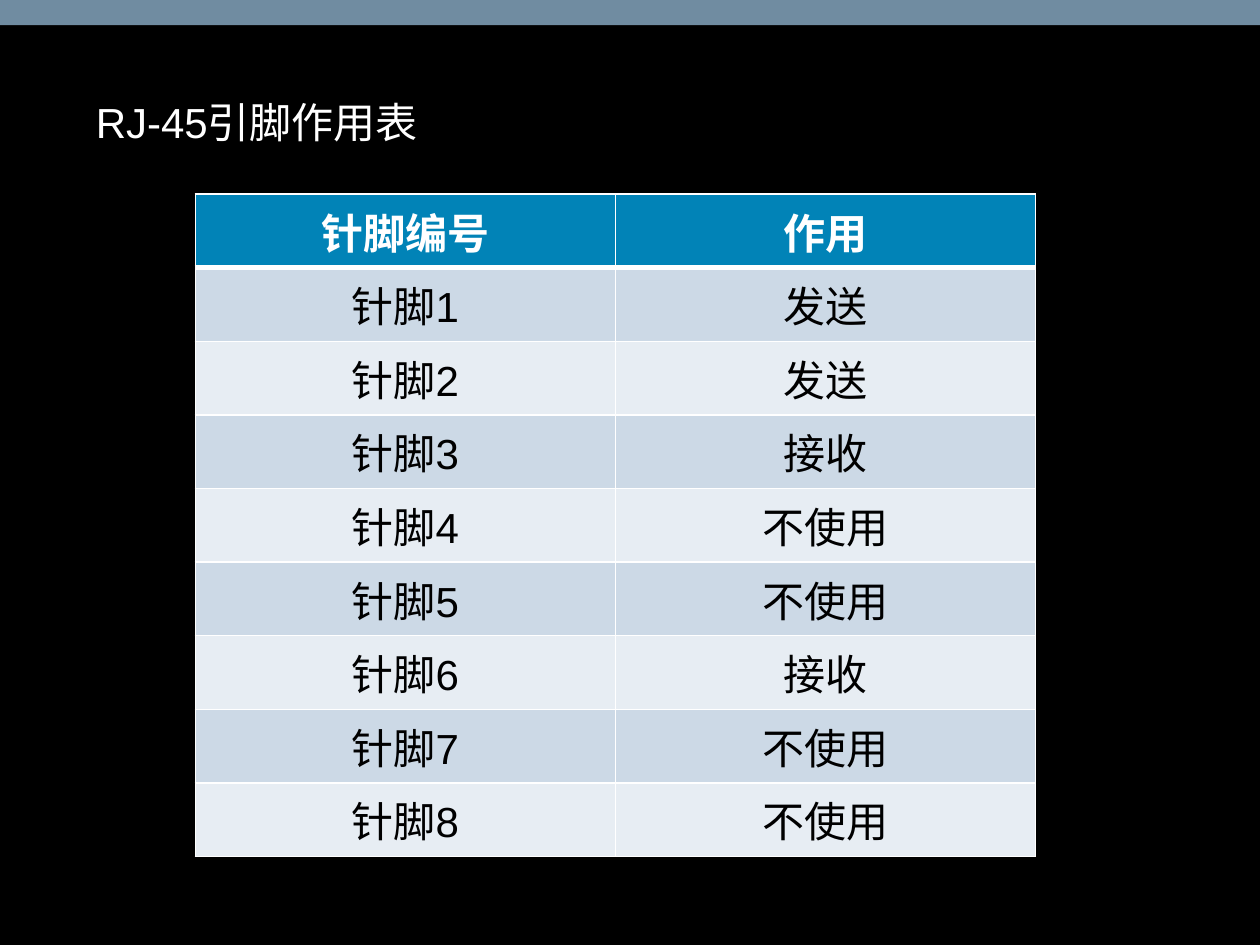
from pptx import Presentation
from pptx.dml.color import RGBColor
from pptx.enum.shapes import MSO_SHAPE
from pptx.enum.text import PP_ALIGN
from pptx.oxml.ns import qn
from pptx.util import Inches, Pt
from lxml.etree import SubElement

BLACK = RGBColor(0x00, 0x00, 0x00)
WHITE = RGBColor(0xFF, 0xFF, 0xFF)
SLATE = RGBColor(0x70, 0x8C, 0xA1)
BLUE = RGBColor(0x01, 0x83, 0xB7)
BANDS = [RGBColor(0xE7, 0xED, 0xF3), RGBColor(0xCC, 0xD9, 0xE6)]

USES = ["发送", "发送", "接收", "不使用", "不使用", "接收", "不使用", "不使用"]
ROWS = [("针脚编号", "作用")] + [(f"针脚{n}", use) for n, use in enumerate(USES, 1)]


def write(tf, text, color, bold, spacing, align):
    p = tf.paragraphs[0]
    p.alignment = align
    p.line_spacing = spacing
    r = p.add_run()
    r.text = text
    r.font.color.rgb = color
    for name, value in {"name": "Arial", "size": Pt(24), "bold": bold}.items():
        setattr(r.font, name, value)


def add_border(cell, side, points):
    ln = SubElement(cell._tc.get_or_add_tcPr(), qn(f"a:ln{side}"), w=str(Pt(points)))
    SubElement(SubElement(ln, qn("a:solidFill")), qn("a:srgbClr"), val=str(WHITE))


prs = Presentation()
prs.slide_width, prs.slide_height = Inches(10), Inches(7.5)
s = prs.slides.add_slide(prs.slide_layouts[6])
s.background.fill.solid()
s.background.fill.fore_color.rgb = BLACK

bar = s.shapes.add_shape(MSO_SHAPE.RECTANGLE, 0, 0, prs.slide_width, Inches(0.2))
bar.shadow.inherit = False
bar.fill.solid()
bar.fill.fore_color.rgb = SLATE
bar.line.fill.background()

title = s.shapes.add_textbox(Inches(0.67), Inches(0.75), Inches(8.68), Inches(0.74))
tf = title.text_frame
margins = {"margin_left": 0.09, "margin_right": 0.09, "margin_top": 0.05, "margin_bottom": 0.04}
for name, value in margins.items():
    setattr(tf, name, Inches(value))
tf.word_wrap = True
write(tf, "RJ-45引脚作用表", WHITE, False, 0.95, PP_ALIGN.LEFT)

table_height = Inches(5.26)
row_height = table_height // len(ROWS)
table = s.shapes.add_table(len(ROWS), 2, Inches(1.55), Inches(1.54),
                           Inches(6.67), table_height).table
for row, texts in enumerate(ROWS):
    table.rows[row].height = row_height
    header = row == 0
    for col, text in enumerate(texts):
        cell = table.cell(row, col)
        write(cell.text_frame, text, WHITE if header else BLACK, header, 1.0, PP_ALIGN.CENTER)
        widths = {"L": 1, "R": 1, "T": 3 if row == 1 else 1, "B": 3 if header else 1}
        for side, points in widths.items():
            add_border(cell, side, points)
        cell.fill.solid()
        cell.fill.fore_color.rgb = BLUE if header else BANDS[row % 2]

prs.save("out.pptx")
